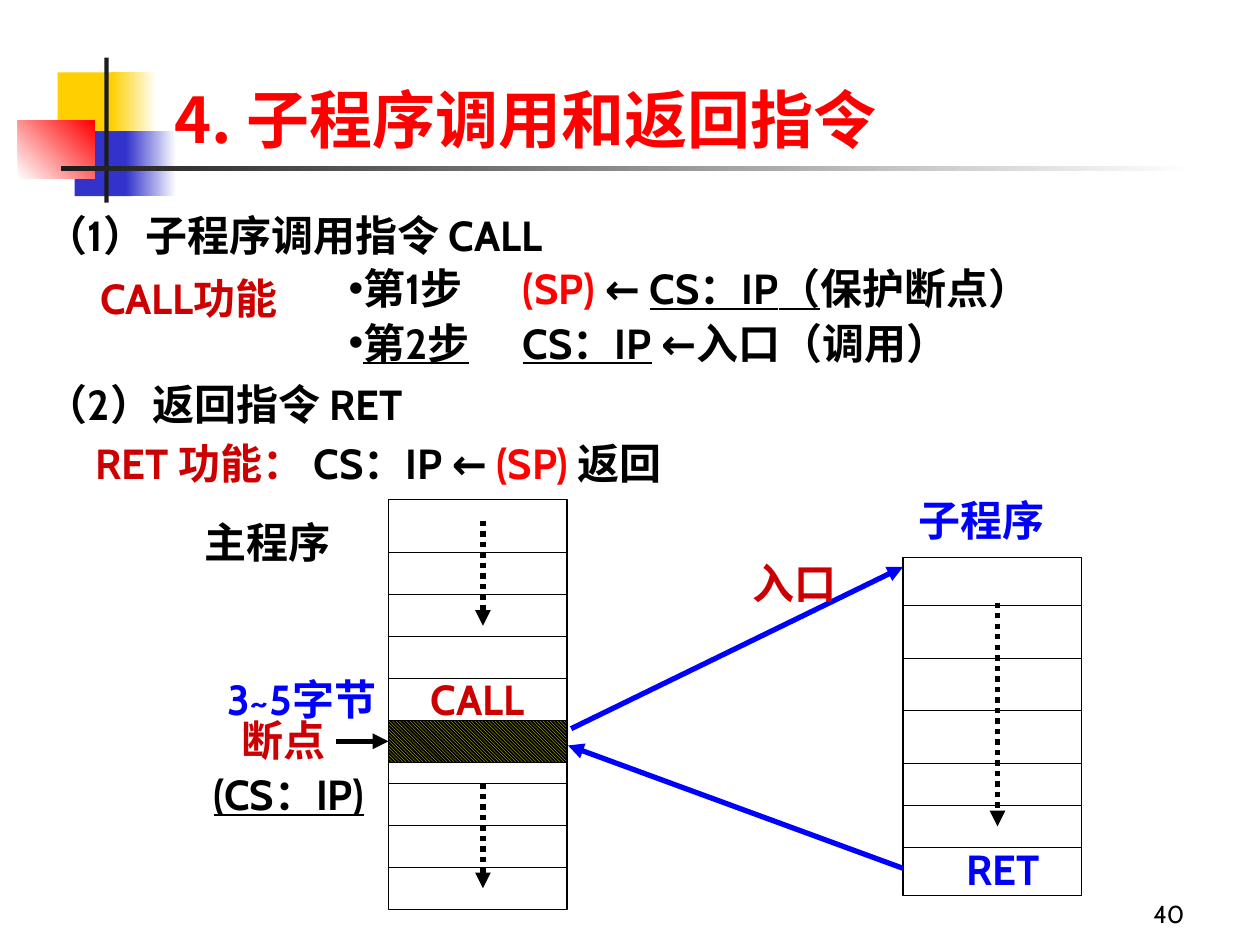
from dataclasses import dataclass
from typing import NamedTuple

from lxml.etree import SubElement
from pptx import Presentation
from pptx.dml.color import RGBColor as Rgb
from pptx.enum.dml import MSO_LINE as Dash, MSO_PATTERN as Pattern
from pptx.enum.shapes import MSO_CONNECTOR as Connector, MSO_SHAPE as Preset
from pptx.enum.text import MSO_ANCHOR as Anchor, MSO_AUTO_SIZE as AutoSize, PP_ALIGN as Align
from pptx.oxml.ns import qn
from pptx.util import Inches, Pt

COLUMNS, ROWS = 120, 90
SLIDE_WIDTH, SLIDE_HEIGHT = Inches(10), Inches(7.5)


@dataclass(frozen=True)
class Theme:
    black: str = "000000"
    white: str = "FFFFFF"
    red: str = "FF0000"
    crimson: str = "CC0000"
    blue: str = "0000FF"
    gold: str = "FFCF01"
    indigo: str = "3333CC"
    charcoal: str = "1C1C1C"
    hatch: str = "FFFF00"
    text_font: str = "Cabin"
    title_font: str = "Noto Sans CJK JP"
    title_size: int = 36
    text_size: int = 24
    number_size: int = 14
    thin: float = 0.75
    thick: float = 3


THEME = Theme()


class Area(NamedTuple):
    column: float
    row: float
    columns: float
    rows: float


class Span(NamedTuple):
    text: str
    color: str = THEME.black
    underline: bool = False


class Label(NamedTuple):
    area: Area
    spans: list[Span]
    align: Align = Align.CENTER


class Block(NamedTuple):
    area: Area
    color: str
    fade_to: str | None = None
    angle: int = 0


class Arrow(NamedTuple):
    start: tuple[float, float]
    end: tuple[float, float]
    color: str = THEME.black
    dotted: bool = False


class Memory(NamedTuple):
    area: Area
    rules: list[float]


BLOCKS = [
    Block(Area(5.5, 6.9, 5.7, 6.2), THEME.gold),
    Block(Area(10.6, 6.9, 4.3, 6.2), THEME.gold, THEME.white),
    Block(Area(7.1, 12.5, 5.5, 6.2), THEME.indigo),
    Block(Area(12, 12.5, 4.8, 6.2), THEME.indigo, THEME.white),
    Block(Area(1.7, 11.5, 7.3, 5.5), THEME.white, THEME.red, 45),
    Block(Area(9.95, 5.5, 0.4, 13.8), THEME.charcoal),
    Block(Area(5.8, 15.85, 108, 0.4), THEME.charcoal, THEME.white),
]
STEPS = [
    [Span("第1步\t"), Span("(SP) ", THEME.red), Span("← "),
     Span("CS：IP（", underline=True), Span("保护断点）")],
    [Span("第2步\tCS：IP", underline=True), Span(" ←入口（调用）")],
]
LABELS = [
    Label(Area(3.2, 19.4, 60, 6), [Span("（1）子程序调用指令 CALL")], Align.LEFT),
    Label(Area(5, 25.4, 26, 6), [Span("CALL功能", THEME.crimson)]),
    Label(Area(3.2, 35.5, 59, 6), [Span("（2）返回指令 RET")], Align.LEFT),
    Label(Area(7.9, 41.1, 81, 6),
          [Span("RET 功能： ", THEME.crimson), Span("CS：IP ← "),
           Span("(SP) ", THEME.red), Span("返回")], Align.LEFT),
    Label(Area(64.7, 52.5, 22, 6), [Span("入口", THEME.crimson)]),
    Label(Area(15, 48.6, 21, 6), [Span("主程序")]),
    Label(Area(18, 67.5, 18, 6), [Span("断点", THEME.crimson)]),
    Label(Area(83, 46.5, 21, 6), [Span("子程序", THEME.blue)]),
    Label(Area(88, 79.7, 15, 6), [Span("RET", THEME.blue)]),
    Label(Area(38, 63.6, 15, 6), [Span("CALL", THEME.crimson)]),
    Label(Area(13, 63.6, 24, 6), [Span("3~5字节", THEME.blue)], Align.RIGHT),
    Label(Area(17.6, 72.6, 19.8, 6), [Span("(CS：IP)", underline=True)]),
]
MAIN_PROGRAM = Memory(Area(37, 47.6, 17, 39), [5, 9, 13, 17, 27, 31, 35])
SUBROUTINE = Memory(Area(86, 53.1, 17, 32.2), [4.6, 9.6, 14.6, 19.6, 23.6, 27.6])
BREAKPOINT = Area(37, 68.6, 17, 4)
ARROWS = [
    Arrow((32, 70.6), (37, 70.6)),
    Arrow((54.4, 69.4), (86, 54), THEME.blue),
    Arrow((86, 82.7), (54.1, 71), THEME.blue),
    Arrow((46, 49.6), (46, 59.6), dotted=True),
    Arrow((46, 74.6), (46, 84.6), dotted=True),
    Arrow((95, 57.4), (95, 78.7), dotted=True),
]


def across(columns: float) -> int:
    """Turn grid columns into a length."""
    return int(SLIDE_WIDTH * columns / COLUMNS)


def down(rows: float) -> int:
    """Turn grid rows into a length."""
    return int(SLIDE_HEIGHT * rows / ROWS)


def frame(area: Area) -> tuple[int, int, int, int]:
    """Turn a grid area into left, top, width and height."""
    return across(area.column), down(area.row), across(area.columns), down(area.rows)


def place(placeholder, area: Area) -> None:
    """Move a placeholder onto a grid area."""
    placeholder.left, placeholder.top, placeholder.width, placeholder.height = frame(area)
    placeholder.text_frame.auto_size = AutoSize.NONE


def write(paragraph, spans: list[Span], align: Align, size: int = THEME.text_size,
          font_name: str = THEME.text_font, bold: bool = True) -> None:
    """Fill a paragraph with formatted spans."""
    paragraph.alignment = align
    for span in spans:
        run = paragraph.add_run()
        run.text = span.text
        font = run.font
        font.size, font.name, font.bold = Pt(size), font_name, bold
        font.underline = span.underline
        font.color.rgb = Rgb.from_string(span.color)
        SubElement(font._element, qn("a:ea"), typeface=font_name)


def add_label(slide, label: Label, anchor: Anchor = Anchor.TOP, **style) -> None:
    """Add a wrapped text box."""
    words = slide.shapes.add_textbox(*frame(label.area)).text_frame
    words.word_wrap, words.vertical_anchor = True, anchor
    write(words.paragraphs[0], label.spans, label.align, **style)


def add_block(slide, block: Block) -> None:
    """Add a borderless plain or fading rectangle."""
    panel = slide.shapes.add_shape(Preset.RECTANGLE, *frame(block.area))
    panel.shadow.inherit = False
    panel.line.fill.background()
    if block.fade_to is None:
        panel.fill.solid()
        panel.fill.fore_color.rgb = Rgb.from_string(block.color)
        return
    panel.fill.gradient()
    panel.fill.gradient_angle = block.angle
    for stop, color in zip(panel.fill.gradient_stops, (block.color, block.fade_to)):
        stop.color.rgb = Rgb.from_string(color)


def add_cell(slide, area: Area, hatched: bool = False) -> None:
    """Add an outlined memory rectangle, hatched or empty."""
    cell = slide.shapes.add_shape(Preset.RECTANGLE, *frame(area))
    cell.shadow.inherit = False
    cell.line.color.rgb, cell.line.width = Rgb.from_string(THEME.black), Pt(THEME.thin)
    if hatched:
        cell.fill.patterned()
        cell.fill.pattern = Pattern.DARK_DOWNWARD_DIAGONAL
        cell.fill.fore_color.rgb = Rgb.from_string(THEME.hatch)
        cell.fill.back_color.rgb = Rgb.from_string(THEME.black)
    else:
        cell.fill.background()


def add_line(slide, course: Arrow, width: float, head: bool) -> None:
    """Add a straight line, with an arrowhead at its end if asked."""
    (x1, y1), (x2, y2) = course.start, course.end
    stroke = slide.shapes.add_connector(
        Connector.STRAIGHT, across(x1), down(y1), across(x2), down(y2))
    stroke.line.color.rgb, stroke.line.width = Rgb.from_string(course.color), Pt(width)
    if course.dotted:
        stroke.line.dash_style = Dash.ROUND_DOT
    if head:
        SubElement(stroke.line._get_or_add_ln(), qn("a:tailEnd"), type="triangle")
    SubElement(stroke.element.spPr, qn("a:effectLst"))


def add_memory(slide, memory: Memory) -> None:
    """Add a memory column with its dividing rules."""
    add_cell(slide, memory.area)
    left, top, columns, _ = memory.area
    for offset in memory.rules:
        row = top + offset
        add_line(slide, Arrow((left, row), (left + columns, row)), THEME.thin, head=False)


def fill_title(title) -> None:
    """Place and write the slide title."""
    place(title, Area(10, 7, 98.8, 8.5))
    title.text_frame.margin_left = across(6.6)
    title.text_frame.vertical_anchor = Anchor.MIDDLE
    write(title.text_frame.paragraphs[0], [Span("4. 子程序调用和返回指令", THEME.red)],
          Align.LEFT, THEME.title_size, THEME.title_font)


def fill_steps(body) -> None:
    """Place and write the bulleted steps of the call."""
    place(body, Area(32, 24.4, 85, 11.4))
    for index, spans in enumerate(STEPS):
        step = body.text_frame.paragraphs[0] if index == 0 else body.text_frame.add_paragraph()
        layout = step._p.get_or_add_pPr()
        layout.set("marL", "0")
        layout.set("indent", "0")
        SubElement(layout, qn("a:buChar"), char="•")
        stops = SubElement(layout, qn("a:tabLst"))
        SubElement(stops, qn("a:tab"), pos=str(across(16.6)), algn="l")
        step.space_before = Pt(2.4 * index)
        write(step, spans, Align.LEFT)


def main() -> None:
    """Build the slide and save it."""
    deck = Presentation()
    deck.slide_width, deck.slide_height = SLIDE_WIDTH, SLIDE_HEIGHT
    slide = deck.slides.add_slide(deck.slide_layouts[1])
    title, body = slide.placeholders
    for block in BLOCKS:
        add_block(slide, block)
    for placeholder in (title, body):
        slide.shapes.element.append(placeholder.element)
    fill_title(title)
    fill_steps(body)
    for memory in (MAIN_PROGRAM, SUBROUTINE):
        add_memory(slide, memory)
    add_cell(slide, BREAKPOINT, hatched=True)
    for arrow in ARROWS:
        add_line(slide, arrow, THEME.thick, head=True)
    for label in LABELS:
        add_label(slide, label)
    add_label(slide, Label(Area(89, 83, 25, 6), [Span("40")], Align.RIGHT),
              Anchor.BOTTOM, size=THEME.number_size, bold=False)
    deck.save("out.pptx")


if __name__ == "__main__":
    main()
